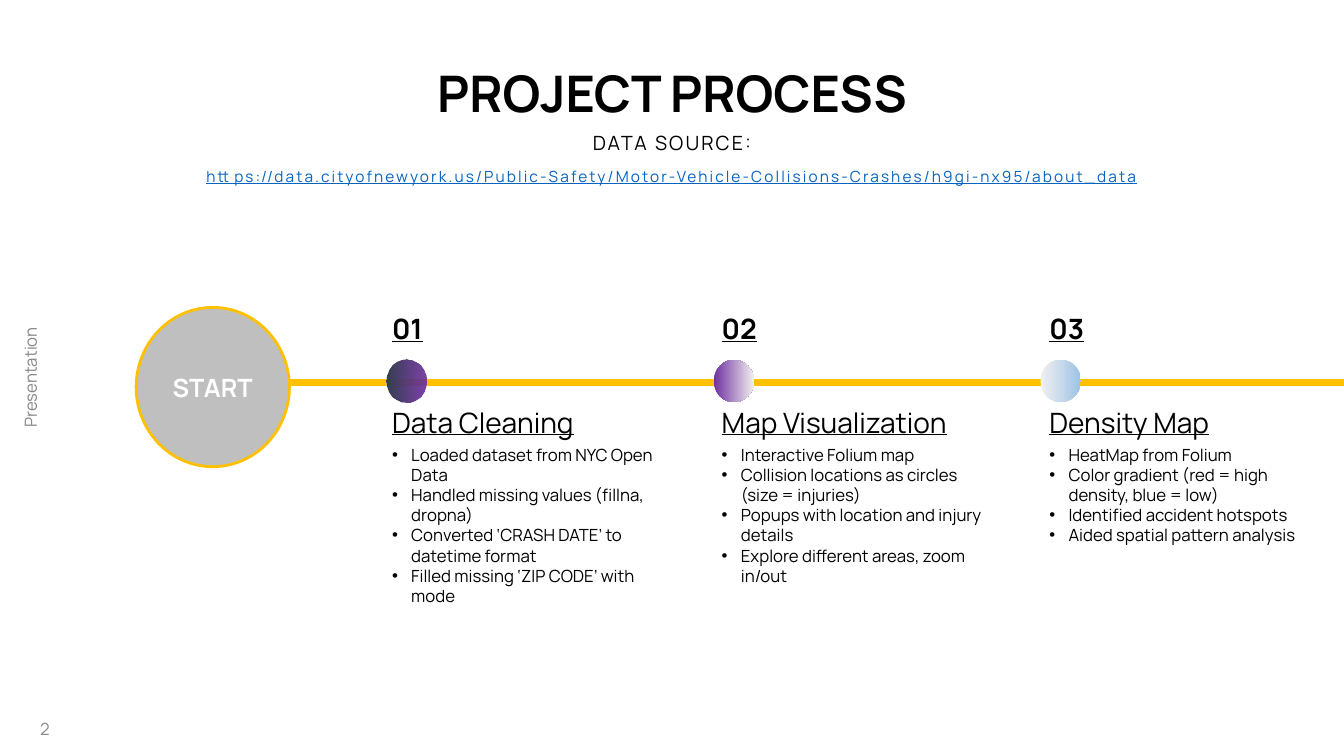
from dataclasses import dataclass

from lxml import etree
from pptx import Presentation, util as u
from pptx.dml.color import RGBColor
from pptx.enum import shapes as sh, text as tx
from pptx.oxml.ns import qn

PX = 9144  # EMU per px, 100 px to the inch
FONT = "Manrope"
BLACK = RGBColor(0x00, 0x00, 0x00)
WHITE = RGBColor(0xFF, 0xFF, 0xFF)
GRAY = RGBColor(0x88, 0x88, 0x88)
SILVER = RGBColor(0xBF, 0xBF, 0xBF)
GOLD = RGBColor(0xFF, 0xC0, 0x00)
BLUE = RGBColor(0x05, 0x63, 0xC1)
SLATE = RGBColor(0x33, 0x3F, 0x50)
PURPLE = RGBColor(0x70, 0x30, 0xA0)
PALE = RGBColor(0xF1, 0xF0, 0xF0)
SKY = RGBColor(0x9D, 0xC3, 0xE6)

LEFT, MID, RIGHT = tx.PP_ALIGN.LEFT, tx.PP_ALIGN.CENTER, tx.PP_ALIGN.RIGHT
URL = ("https://data.cityofnewyork.us/Public-Safety/"
       "Motor-Vehicle-Collisions-Crashes/h9gi-nx95/about_data")


@dataclass
class Box:
    x: int
    y: int
    w: int
    h: int

    def emu(self) -> list[int]:
        return [v * PX for v in (self.x, self.y, self.w, self.h)]


@dataclass
class Step:
    num: str
    name: str
    x: int
    dot: int
    tall: int
    start: RGBColor
    end: RGBColor
    items: list[str]
    alpha: int = 100  # opacity of the end colour, percent


STEPS = [
    Step("01", "Data Cleaning", 379, 383, 172, SLATE, PURPLE, [
        "Loaded dataset from NYC Open Data",
        "Handled missing values (fillna, dropna)",
        "Converted ‘CRASH DATE’ to datetime format",
        "Filled missing ‘ZIP CODE’ with mode"], alpha=91),
    Step("02", "Map Visualization", 706, 708, 151, PURPLE, PALE, [
        "Interactive Folium map",
        "Collision locations as circles (size = injuries)",
        "Popups with location and injury details",
        "Explore different areas, zoom in/out"]),
    Step("03", "Density Map", 1031, 1032, 111, PALE, SKY, [
        "HeatMap from Folium",
        "Color gradient (red = high density, blue = low)",
        "Identified accident hotspots",
        "Aided spatial pattern analysis"]),
]


def bullet(para) -> None:
    props = para._p.get_or_add_pPr()
    props.set("marL", str(19 * PX))
    props.set("indent", str(-19 * PX))
    tint = etree.SubElement(props, qn("a:buClr"))
    etree.SubElement(tint, qn("a:srgbClr"), val=str(BLACK))
    etree.SubElement(props, qn("a:buFont"), typeface="Arial")
    etree.SubElement(props, qn("a:buChar"), char="•")


def write(frame, line: str, *, size: int, color: RGBColor = BLACK,
          bold: bool = False, under: bool = False, align=LEFT,
          lead: float = 1.0, gap: int = 0, track: int = 0,
          dotted: bool = False) -> None:
    """Fill the first paragraph, or add one after it."""
    fresh = not frame.paragraphs[0].runs
    para = frame.paragraphs[0] if fresh else frame.add_paragraph()
    para.alignment = align
    para.line_spacing = lead
    if gap:
        para.space_before = u.Pt(gap)
    if dotted:
        bullet(para)
    run = para.add_run()
    run.text = line
    font = run.font
    font.name, font.size, font.bold, font.underline = FONT, u.Pt(size), bold, under
    font.color.rgb = color
    if track:
        run._r.get_or_add_rPr().set("spc", str(track))


def frame_in(tree, box: Box, grow: bool = False, turn: int = 0,
             anchor=tx.MSO_ANCHOR.TOP):
    area = tree.add_textbox(*box.emu())
    area.rotation = turn
    frame = area.text_frame
    frame.word_wrap = True
    frame.vertical_anchor = anchor
    if grow:
        frame.auto_size = tx.MSO_AUTO_SIZE.SHAPE_TO_FIT_TEXT
    return frame


def circle(tree, box: Box):
    disc = tree.add_shape(sh.MSO_SHAPE.FLOWCHART_CONNECTOR, *box.emu())
    disc.shadow.inherit = False
    return disc


def draw_step(tree, step: Step) -> None:
    group = tree.add_group_shape().shapes
    # Gradient dot
    dot = circle(group, Box(step.dot, 357, 40, 42))
    dot.line.fill.background()
    dot.fill.gradient()
    dot.fill.gradient_angle = 0
    for stop, color in zip(dot.fill.gradient_stops, (step.start, step.end)):
        stop.color.rgb = color
    if step.alpha < 100:
        tint = dot._element.spPr.findall(".//" + qn("a:srgbClr"))[-1]
        etree.SubElement(tint, qn("a:alpha"), val=str(step.alpha * 1000))
    # Number, name and bullets
    write(frame_in(group, Box(step.x, 304, 80, 44), grow=True), step.num,
          size=20, bold=True, under=True)
    write(frame_in(group, Box(step.x, 397, 248, 44), grow=True), step.name,
          size=20, under=True)
    notes = frame_in(group, Box(step.x, 436, 288, step.tall), grow=True)
    for item in step.items:
        write(notes, item, size=12, dotted=True)


def main() -> None:
    deck = Presentation()
    deck.slide_width, deck.slide_height = u.Inches(13.33), u.Inches(7.5)
    tree = deck.slides.add_slide(deck.slide_layouts[6]).shapes
    center = tx.MSO_ANCHOR.MIDDLE

    # Side label and page number
    write(frame_in(tree, Box(-128, 345, 316, 59), turn=270, anchor=center),
          "Presentation", size=12, color=GRAY, align=MID)
    write(frame_in(tree, Box(0, 695, 59, 55), anchor=center),
          "2", size=12, color=GRAY, align=RIGHT)

    # Title and data source
    write(frame_in(tree, Box(59, 61, 1215, 69), anchor=center),
          "PROJECT PROCESS", size=36, bold=True, align=MID, lead=0.9)
    source = frame_in(tree, Box(59, 128, 1215, 20))
    write(source, "DATA SOURCE:", size=14, align=MID, lead=0.9, track=150)
    write(source, URL, size=11, color=BLUE, under=True, align=MID,
          lead=0.9, gap=10, track=150)

    # Timeline
    rail = tree.add_connector(sh.MSO_CONNECTOR.STRAIGHT,
                              200 * PX, 379 * PX, 1333 * PX, 379 * PX)
    rail.line.color.rgb = GOLD
    rail.line.width = u.Pt(5)
    etree.SubElement(rail._element.spPr, qn("a:effectLst"))

    # Start circle
    start = circle(tree, Box(135, 305, 152, 158))
    start.fill.solid()
    start.fill.fore_color.rgb = SILVER
    start.line.color.rgb = GOLD
    start.line.width = u.Pt(2)
    start.text_frame.vertical_anchor = center
    write(start.text_frame, "START", size=18, color=WHITE, bold=True, align=MID)

    for step in STEPS:
        draw_step(tree, step)

    deck.save("out.pptx")


if __name__ == "__main__":
    main()
